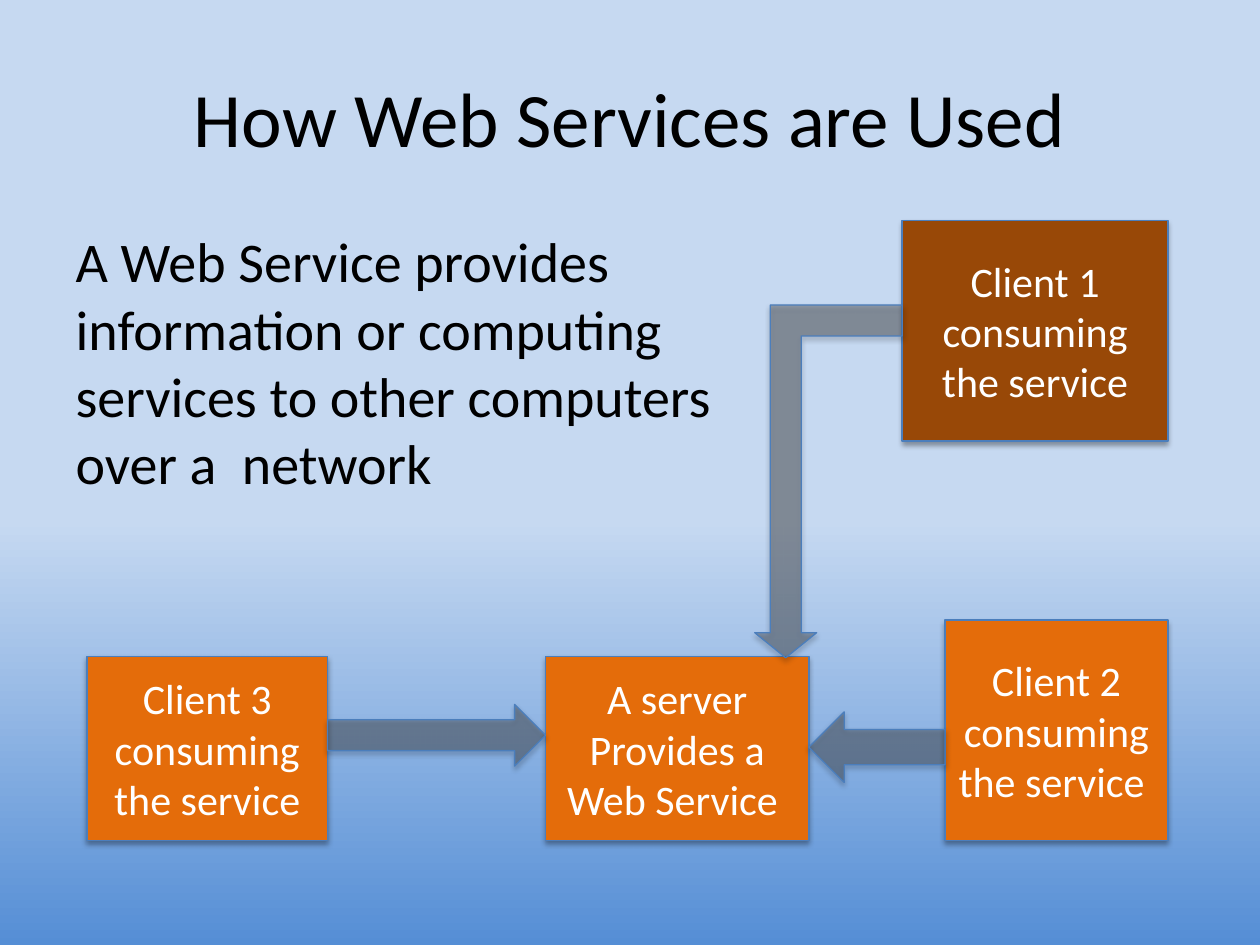
from lxml import etree
from pptx import Presentation
from pptx import util as u
from pptx.dml.color import RGBColor
from pptx.enum import shapes, text
from pptx.oxml.ns import qn

COLORS = {
    "sky": "C6D9F1", "deep": "558ED5", "ink": "000000", "white": "FFFFFF",
    "orange": "E46C0A", "brown": "984807", "gray": "404040", "edge": "4B7EBC",
}
KIND = shapes.MSO_SHAPE


def rgb(name):
    return RGBColor.from_string(COLORS[name])


def add(parent, tag, **attrs):
    return etree.SubElement(parent, qn(tag), attrs)


class Deck:
    font = "Calibri"
    frame = {"word_wrap": True, "vertical_anchor": text.MSO_ANCHOR.MIDDLE}

    def __init__(self):
        self.prs = Presentation()
        self.prs.slide_width = u.Inches(10)
        self.prs.slide_height = u.Inches(7.5)
        self.slide = self.prs.slides.add_slide(self.prs.slide_layouts[1])

    def back(self, stops):
        fill = self.slide.background.fill
        fill.gradient()
        fill.gradient_angle = 270
        for stop, (place, color) in zip(fill.gradient_stops, stops):
            stop.position = place
            stop.color.rgb = rgb(color)

    def place(self, item, box):
        for name, value in zip(("left", "top", "width", "height"), box):
            setattr(item, name, u.Inches(value))

    def label(self, frame, lines, size, color, align):
        frame.text = "\n".join(lines)
        for para in frame.paragraphs:
            para.alignment = align
            for name, value in {"name": self.font, "size": u.Pt(size)}.items():
                setattr(para.font, name, value)
            para.font.color.rgb = rgb(color)

    def title(self, words, box):
        item = self.slide.shapes.title
        self.place(item, box)
        self.label(item.text_frame, [words], 44, "ink", text.PP_ALIGN.CENTER)

    def body(self, words, box):
        item = self.slide.placeholders[1]
        self.place(item, box)
        self.label(item.text_frame, [words], 32, "ink", text.PP_ALIGN.LEFT)
        for para in item.text_frame.paragraphs:
            props = para._p.get_or_add_pPr()
            props.set("marL", "0")
            props.set("indent", "0")
            props.insert(0, props.makeelement(qn("a:buNone"), {}))

    def shade(self, item):
        """Give the shape a soft shadow straight below it."""
        item.shadow.inherit = False
        effects = item._element.spPr.find(qn("a:effectLst"))
        cast = add(effects, "a:outerShdw", blurRad=str(u.Pt(3.1)),
                   dist=str(u.Pt(1.8)), dir="5400000", rotWithShape="0")
        tint = add(cast, "a:srgbClr", val=COLORS["ink"])
        add(tint, "a:alpha", val="35000")

    def shape(self, kind, box, color):
        item = self.slide.shapes.add_shape(kind, *map(u.Inches, box))
        item.fill.solid()
        item.fill.fore_color.rgb = rgb(color)
        item.line.color.rgb = rgb("edge")
        item.line.width = u.Pt(0.75)
        self.shade(item)
        return item

    def box(self, lines, box, color="orange"):
        item = self.shape(KIND.RECTANGLE, box, color)
        for name, value in self.frame.items():
            setattr(item.text_frame, name, value)
        self.label(item.text_frame, lines, 24, "white", text.PP_ALIGN.CENTER)

    def arrow(self, kind, box, turn=0, adjust=()):
        item = self.shape(kind, box, "gray")
        item.rotation = turn
        for i, value in enumerate(adjust):
            item.adjustments[i] = value
        tint = item._element.spPr.find(qn("a:solidFill"))[0]
        add(tint, "a:alpha", val="40000")


def main():
    deck = Deck()
    deck.back([(0.55, "sky"), (1, "deep")])
    deck.title("How Web Services are Used", (0.5, 0.3, 9, 1.25))
    deck.body("A Web Service provides information or computing services "
              "to other computers over a  network", (0.5, 1.75, 5.49, 3.17))

    deck.box(["A server", "Provides a", "Web Service "], (4.33, 5.21, 2.09, 1.46))
    deck.box(["Client 1", "consuming the service"], (7.16, 1.75, 2.11, 1.75), "brown")
    deck.box(["Client 2 consuming the service "], (7.5, 4.92, 1.77, 1.75))
    deck.box(["Client 3 consuming the service"], (0.69, 5.21, 1.91, 1.46))

    deck.arrow(KIND.RIGHT_ARROW, (2.6, 5.59, 1.73, 0.49))
    deck.arrow(KIND.LEFT_ARROW, (6.42, 5.65, 1.08, 0.56))
    deck.arrow(KIND.BENT_UP_ARROW, (5.99, 2.42, 1.17, 2.8), 180, (0.21, 0.21, 0.17))
    deck.prs.save("out.pptx")


if __name__ == "__main__":
    main()
